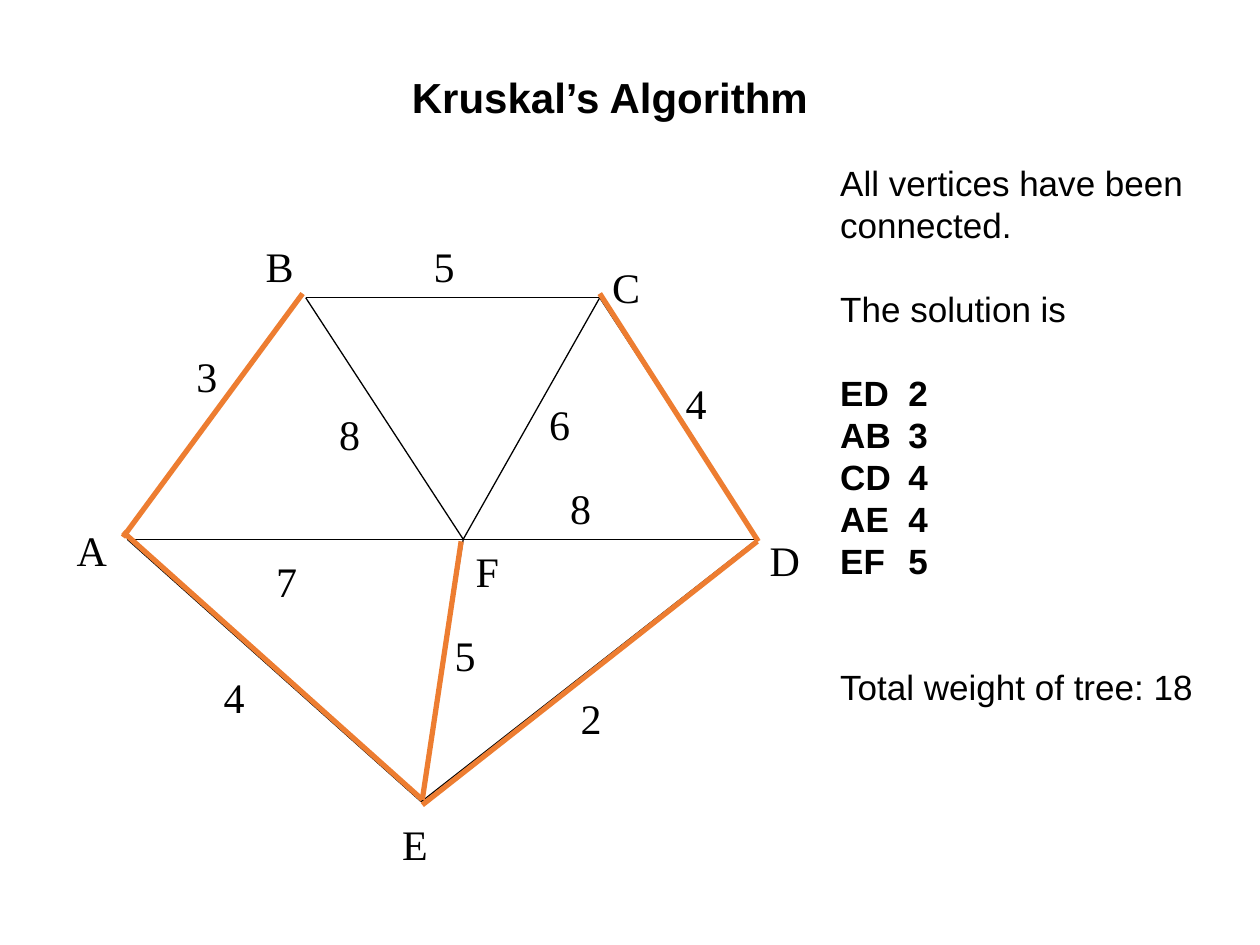
from lxml.etree import SubElement
from pptx import Presentation
from pptx.dml.color import RGBColor
from pptx.enum.shapes import MSO_CONNECTOR
from pptx.enum.text import PP_ALIGN
from pptx.oxml.ns import qn
from pptx.util import Inches, Pt

BLACK = RGBColor(0x00, 0x00, 0x00)
ORANGE = RGBColor(0xED, 0x7D, 0x31)

# The graph lies on a grid of twelve cells to the inch.
CELL = 1 / 12
GRID_LEFT, GRID_TOP = 0.01, 0.03
LABEL_SIZE = 0.5

VERTICES = {"A": (12, 51), "B": (29, 28), "C": (57, 28),
            "D": (72, 51), "E": (40, 76), "F": (44, 51)}
EDGES = ["BC", "CD", "AF", "FD", "BF", "FC", "AE", "EF", "ED"]
# Tree edges sit slightly off the vertices, so the thin edges stay visible.
TREE_EDGES = [
    ((11.6, 50.8), (28.7, 27.6)),
    ((40.1, 76.3), (72, 51.2)),
    ((57, 27.6), (72.1, 51.2)),
    ((11.6, 50.3), (40.1, 75.8)),
    ((43.8, 51.2), (40.1, 75.8)),
]
VERTEX_LABELS = [("A", 6, 49), ("F", 44, 51), ("B", 24, 22),
                 ("C", 57, 24), ("D", 72, 50), ("E", 37, 77)]
WEIGHT_LABELS = [("2", 54, 65), ("7", 25, 52), ("4", 20, 63), ("5", 42, 59),
                 ("8", 31, 38), ("6", 51, 37), ("4", 64, 35), ("5", 40, 22),
                 ("3", 17.4, 32.4), ("8", 53, 45)]

LINE_PITCH = 24
# Text, bold, number of empty lines above
SOLUTION = [
    ("All vertices have been", False, 0),
    ("connected.", False, 0),
    ("The solution is", False, 1),
    ("ED\t2", True, 1),
    ("AB\t3", True, 0),
    ("CD\t4", True, 0),
    ("AE\t4", True, 0),
    ("EF\t5", True, 0),
    ("Total weight of tree: 18", False, 2),
]


def grid_point(column, row):
    return Inches(GRID_LEFT + column * CELL), Inches(GRID_TOP + row * CELL)


def add_text_frame(slide, left, top, width, height):
    text_frame = slide.shapes.add_textbox(left, top, width, height).text_frame
    text_frame.word_wrap = True
    return text_frame


def write(paragraph, text, size=24, font="Arial", bold=False,
          align=PP_ALIGN.LEFT):
    paragraph.alignment = align
    run = paragraph.add_run()
    run.text = text
    run.font.size = Pt(size)
    run.font.name = font
    run.font.bold = bold
    run.font.color.rgb = BLACK


def add_tab_stop(paragraph, position):
    tab_list = SubElement(paragraph._p.get_or_add_pPr(), qn("a:tabLst"))
    SubElement(tab_list, qn("a:tab"), pos=str(position), algn="l")


def add_edge(slide, start, end, color=BLACK, width=0.75):
    edge = slide.shapes.add_connector(
        MSO_CONNECTOR.STRAIGHT, *grid_point(*start), *grid_point(*end))
    edge.line.color.rgb = color
    edge.line.width = Pt(width)
    SubElement(edge._element.spPr, qn("a:effectLst"))


def add_label(slide, text, column, row):
    text_frame = add_text_frame(slide, *grid_point(column, row),
                                Inches(LABEL_SIZE), Inches(LABEL_SIZE))
    write(text_frame.paragraphs[0], text, font="Times New Roman")


def add_title(slide):
    text_frame = add_text_frame(slide, Inches(0.9), Inches(0.52),
                                Inches(7.88), Inches(0.5))
    write(text_frame.paragraphs[0], "Kruskal’s Algorithm", bold=True,
          align=PP_ALIGN.CENTER)


def add_solution(slide):
    text_frame = add_text_frame(slide, Inches(6.57), Inches(1.23),
                                Inches(3.15), Inches(4.77))
    for index, (text, bold, empty_lines) in enumerate(SOLUTION):
        paragraph = (text_frame.add_paragraph() if index
                     else text_frame.paragraphs[0])
        paragraph.line_spacing = Pt(LINE_PITCH)
        if empty_lines:
            paragraph.space_before = Pt(LINE_PITCH * empty_lines)
        if "\t" in text:
            add_tab_stop(paragraph, Inches(0.54))
        write(paragraph, text, size=20, bold=bold)


def add_graph(slide):
    for start, end in EDGES:
        add_edge(slide, VERTICES[start], VERTICES[end])
    for label in VERTEX_LABELS + WEIGHT_LABELS:
        add_label(slide, *label)
    for start, end in TREE_EDGES:
        add_edge(slide, start, end, color=ORANGE, width=3)


def main():
    presentation = Presentation()
    presentation.slide_width = Inches(10)
    presentation.slide_height = Inches(7.5)
    slide = presentation.slides.add_slide(presentation.slide_layouts[6])
    add_solution(slide)
    add_title(slide)
    add_graph(slide)
    presentation.save("out.pptx")


if __name__ == "__main__":
    main()
